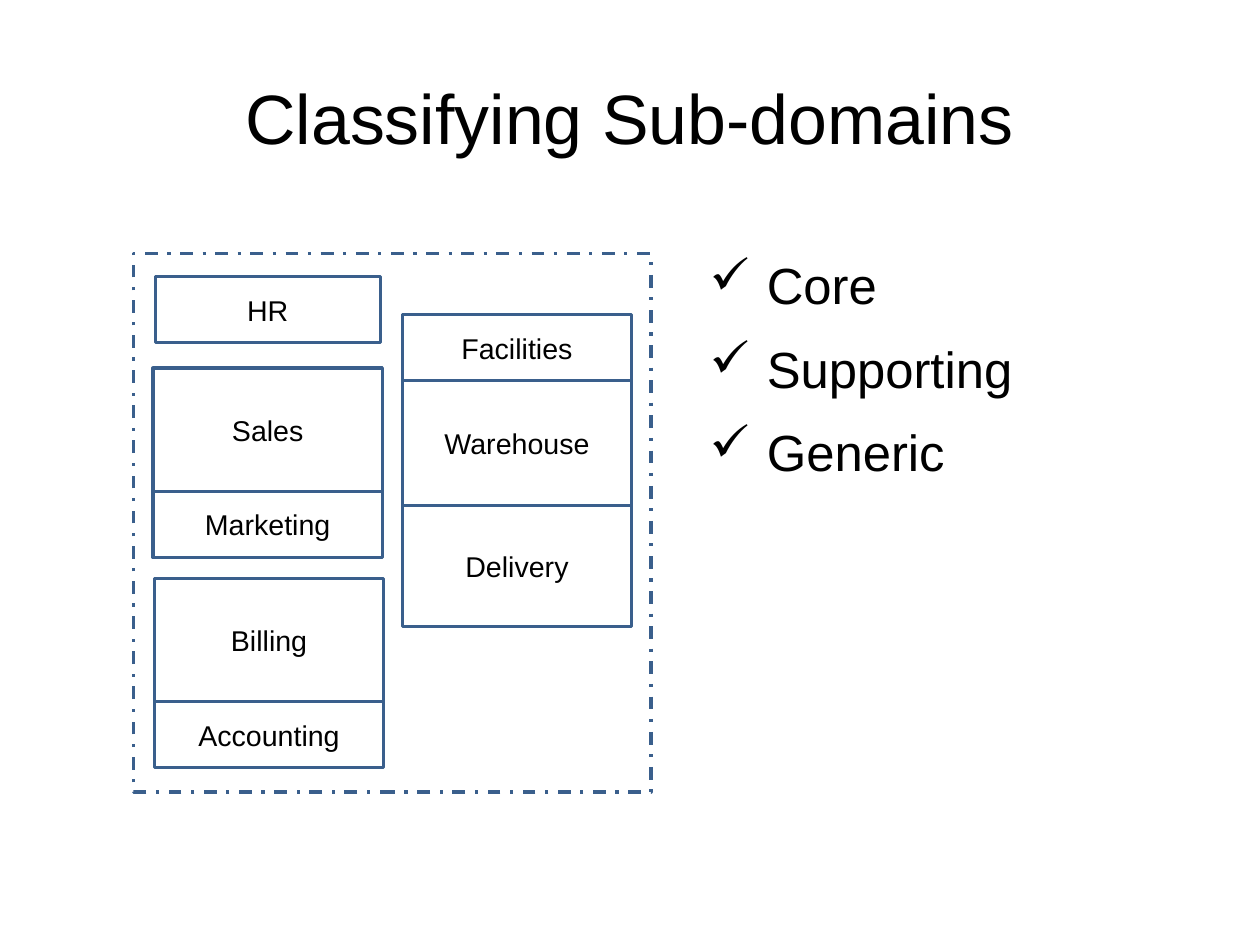
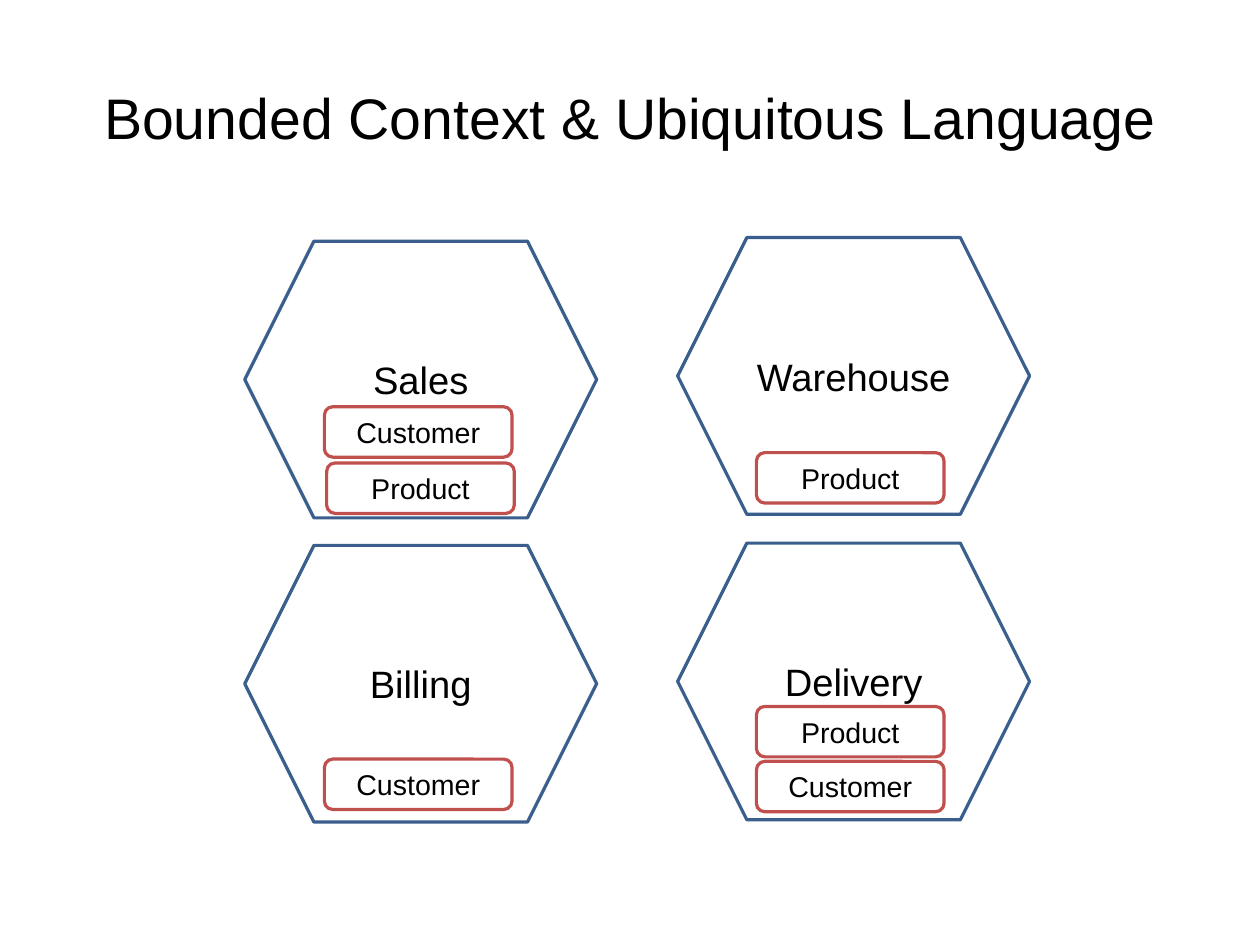
from dataclasses import dataclass

from lxml import etree
from pptx import Presentation
from pptx.dml.color import RGBColor
from pptx.enum.dml import MSO_LINE
from pptx.enum.shapes import MSO_SHAPE
from pptx.enum.text import MSO_ANCHOR, PP_ALIGN
from pptx.oxml.ns import qn
from pptx.shapes.autoshape import Shape
from pptx.slide import Slide
from pptx.text.text import TextFrame
from pptx.util import Cm, Pt

RECTANGLE = MSO_SHAPE.RECTANGLE
ROUNDED = MSO_SHAPE.ROUNDED_RECTANGLE
HEXAGON = MSO_SHAPE.HEXAGON
DASH_DOT = MSO_LINE.DASH_DOT
CENTER = PP_ALIGN.CENTER
LEFT = PP_ALIGN.LEFT
MIDDLE = MSO_ANCHOR.MIDDLE


@dataclass(frozen=True)
class Theme:
    font: str = "Arial"
    ink: RGBColor = RGBColor(0x00, 0x00, 0x00)
    paper: RGBColor = RGBColor(0xFF, 0xFF, 0xFF)
    blue: RGBColor = RGBColor(0x3A, 0x5F, 0x8C)
    red: RGBColor = RGBColor(0xC0, 0x50, 0x4D)
    title: int = 44
    long_title: int = 36
    bullet: int = 32
    context: int = 24
    label: int = 18
    line: int = 2


THEME = Theme()


# All lengths below are in centimetres.
@dataclass(frozen=True)
class Area:
    left: float
    top: float
    width: float
    height: float


@dataclass(frozen=True)
class Block:
    name: str
    height: float


@dataclass(frozen=True)
class Stack:
    left: float
    top: float
    blocks: tuple[Block, ...]
    width: float = 5.1


@dataclass(frozen=True)
class Term:
    name: str
    left: float
    top: float


@dataclass(frozen=True)
class Context:
    name: str
    left: float
    top: float
    terms: tuple[Term, ...]


TITLE_AREA = Area(1.4, 0.84, 25.2, 3.5)
DOMAIN_AREA = Area(2.97, 5.64, 11.5, 11.96)
BULLET_AREA = Area(15.47, 5.64, 11.15, 11.46)
SHORT, TALL = 1.47, 2.74
CONTEXT_WIDTH, CONTEXT_HEIGHT = 7.82, 6.15
TERM_WIDTH, TERM_HEIGHT = 4.17, 1.12

SUBDOMAINS = (
    Stack(3.45, 6.15, (Block("HR", SHORT),), 5.0),
    Stack(3.4, 8.18, (Block("Sales", TALL), Block("Marketing", SHORT))),
    Stack(3.43, 12.85, (Block("Billing", TALL), Block("Accounting", SHORT))),
    Stack(8.94, 6.99, (Block("Facilities", SHORT), Block("Warehouse", 2.77),
                       Block("Delivery", 2.69))),
)
CLASSES = ("Core", "Supporting", "Generic")
CONTEXTS = (
    Context("Sales", 5.44, 5.36,
            (Term("Customer", 7.21, 9.04), Term("Product", 7.26, 10.29))),
    Context("Warehouse", 15.06, 5.28, (Term("Product", 16.81, 10.06),)),
    Context("Billing", 5.44, 12.12, (Term("Customer", 7.21, 16.87),)),
    Context("Delivery", 15.06, 12.07,
            (Term("Product", 16.81, 15.7), Term("Customer", 16.81, 16.92))),
)


def format_text(frame: TextFrame, size: int, align: PP_ALIGN) -> None:
    for para in frame.paragraphs:
        para.alignment = align
        for span in para.runs:
            span.font.name = THEME.font
            span.font.size = Pt(size)
            span.font.color.rgb = THEME.ink


def add_text(page: Slide, area: Area, text: str, size: int,
             align: PP_ALIGN) -> TextFrame:
    box = page.shapes.add_textbox(Cm(area.left), Cm(area.top),
                                  Cm(area.width), Cm(area.height))
    frame = box.text_frame
    frame.word_wrap = True
    frame.margin_left = frame.margin_right = Cm(0)
    frame.margin_top = frame.margin_bottom = Cm(0)
    frame.text = text
    format_text(frame, size, align)
    return frame


def add_title(page: Slide, text: str, size: int) -> None:
    add_text(page, TITLE_AREA, text, size, CENTER).vertical_anchor = MIDDLE


def add_checklist(page: Slide, area: Area, items: tuple[str, ...]) -> None:
    frame = add_text(page, area, "\n".join(items), THEME.bullet, LEFT)
    for para in frame.paragraphs:
        para.space_before = Pt(14.2)
        properties = para._p.get_or_add_pPr()
        properties.set("marL", str(Cm(1.57)))
        properties.set("indent", str(Cm(-1.27)))
        color = etree.SubElement(properties, qn("a:buClr"))
        etree.SubElement(color, qn("a:srgbClr")).set("val", str(THEME.ink))
        etree.SubElement(properties, qn("a:buChar")).set("char", "✓")


def add_outline(page: Slide, kind: MSO_SHAPE, area: Area,
                color: RGBColor) -> Shape:
    shape = page.shapes.add_shape(kind, Cm(area.left), Cm(area.top),
                                  Cm(area.width), Cm(area.height))
    shape.shadow.inherit = False
    shape.fill.background()
    shape.line.color.rgb = color
    shape.line.width = Pt(THEME.line)
    return shape


def add_labelled(page: Slide, kind: MSO_SHAPE, area: Area, color: RGBColor,
                 text: str, size: int) -> None:
    frame = add_outline(page, kind, area, color).text_frame
    frame.text = text
    frame.vertical_anchor = MIDDLE
    format_text(frame, size, CENTER)


def add_stack(page: Slide, stack: Stack) -> None:
    top = stack.top
    for block in stack.blocks:
        area = Area(stack.left, top, stack.width, block.height)
        add_labelled(page, RECTANGLE, area, THEME.blue, block.name, THEME.label)
        top += block.height


def add_context(page: Slide, context: Context) -> None:
    area = Area(context.left, context.top, CONTEXT_WIDTH, CONTEXT_HEIGHT)
    add_labelled(page, HEXAGON, area, THEME.blue, context.name, THEME.context)
    for term in context.terms:
        area = Area(term.left, term.top, TERM_WIDTH, TERM_HEIGHT)
        add_labelled(page, ROUNDED, area, THEME.red, term.name, THEME.label)


def main() -> None:
    deck = Presentation()
    deck.slide_width, deck.slide_height = Cm(28), Cm(21)
    blank = deck.slide_layouts[6]

    # Sub-domains inside the dashed domain border
    page = deck.slides.add_slide(blank)
    add_title(page, "Classifying Sub-domains", THEME.title)
    domain = add_outline(page, RECTANGLE, DOMAIN_AREA, THEME.blue)
    domain.fill.solid()
    domain.fill.fore_color.rgb = THEME.paper
    domain.line.dash_style = DASH_DOT
    for stack in SUBDOMAINS:
        add_stack(page, stack)
    add_checklist(page, BULLET_AREA, CLASSES)

    # Contexts with the terms each one owns
    page = deck.slides.add_slide(blank)
    add_title(page, "Bounded Context & Ubiquitous Language", THEME.long_title)
    for context in CONTEXTS:
        add_context(page, context)

    deck.save("out.pptx")


if __name__ == "__main__":
    main()
